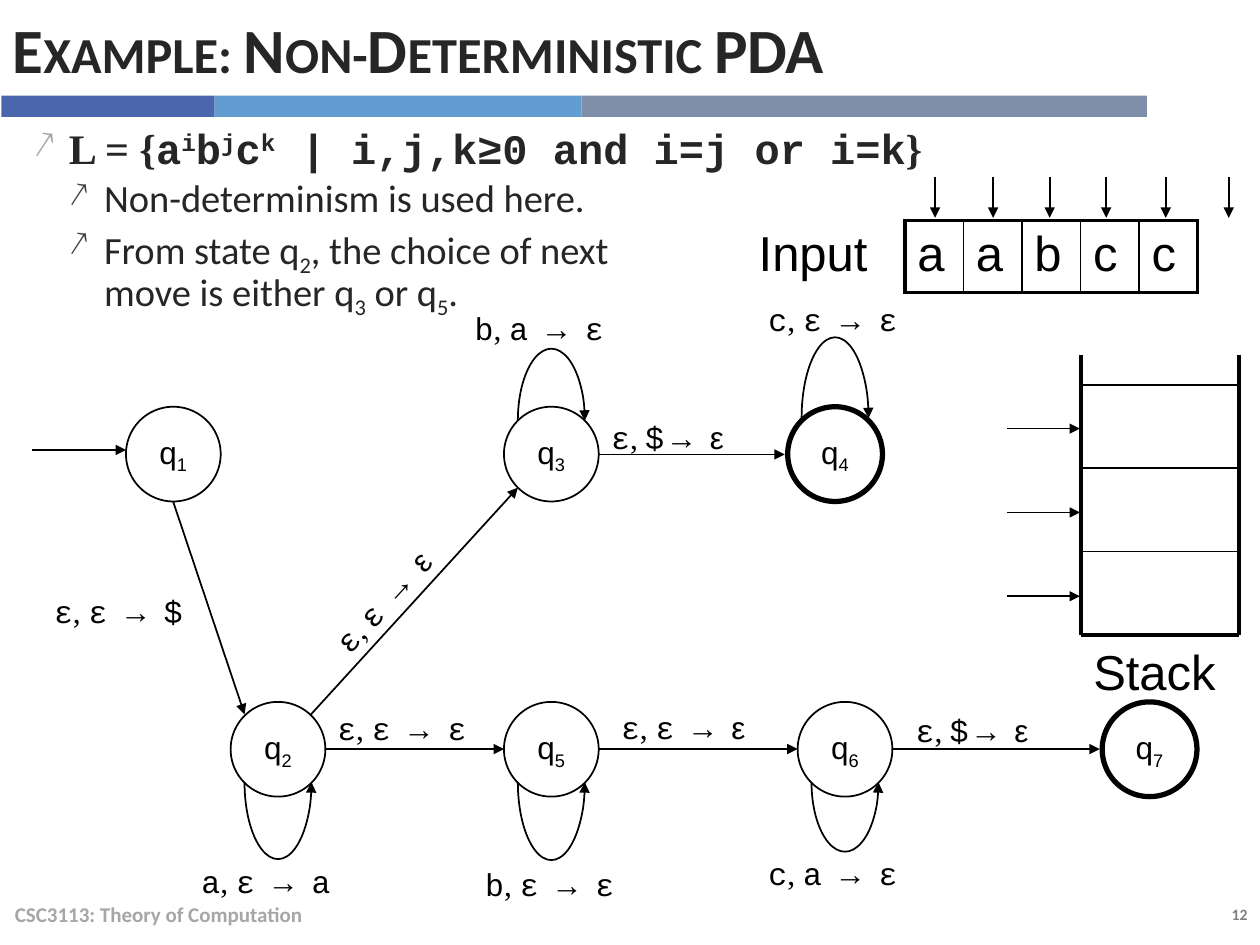
from lxml import etree
from pptx import Presentation
from pptx import util as u
from pptx.dml.color import RGBColor
from pptx.enum import shapes, text
from pptx.oxml import ns

COLORS = {
    "ink": "262626", "black": "000000", "number": "808080", "footer": "A6A6A6",
    "bullet": "A6A6A6", "sub_bullet": "404040",
    "bar_dark": "4A66AC", "bar_light": "629DD1", "bar_grey": "7F8FA9",
}
RGB = {name: RGBColor.from_string(value) for name, value in COLORS.items()}
SANS, MONO, SERIF, BODY = "Arial", "Courier New", "Times New Roman", "Calibri"


def add_runs(paragraph, runs, size, color="black", bold=False):
    for content, font_name, *baseline in runs:
        run = paragraph.add_run()
        run.text = content
        run.font.name = font_name
        run.font.size = u.Pt(size)
        run.font.bold = bold
        run.font.color.rgb = RGB[color]
        if baseline:
            run._r.get_or_add_rPr().set("baseline", str(baseline[0] * 1000))


def add_text(left, top, width, height, runs, size, color="black", bold=False):
    box = slide.shapes.add_textbox(u.Cm(left), u.Cm(top), u.Cm(width), u.Cm(height))
    box.text_frame.word_wrap = True
    add_runs(box.text_frame.paragraphs[0], runs, size, color, bold)
    return box


presentation = Presentation()
presentation.slide_width, presentation.slide_height = u.Cm(25.4), u.Cm(19.05)
slide = presentation.slides.add_slide(presentation.slide_layouts[5])

title = slide.shapes.title
title.left, title.top, title.width, title.height = u.Cm(0), u.Cm(0), u.Cm(23.11), u.Cm(1.93)
title.text_frame.auto_size = text.MSO_AUTO_SIZE.NONE
title.text_frame.vertical_anchor = text.MSO_ANCHOR.MIDDLE
paragraph = title.text_frame.paragraphs[0]
paragraph.alignment = text.PP_ALIGN.LEFT
add_runs(paragraph, [("Example: Non-Deterministic PDA", BODY)], 36, "ink", True)
paragraph.runs[0]._r.get_or_add_rPr().set("cap", "small")

bar_left = 0.03
for color, width in [("bar_dark", 4.3), ("bar_light", 7.39), ("bar_grey", 11.4)]:
    bar = slide.shapes.add_shape(
        shapes.MSO_SHAPE.RECTANGLE, u.Cm(bar_left), u.Cm(1.93), u.Cm(width), u.Cm(0.43))
    bar.shadow.inherit = False
    bar.fill.solid()
    bar.fill.fore_color.rgb = RGB[color]
    bar.line.fill.background()
    bar_left += width

number = add_text(22.17, 18.11, 3.23, 0.64, [("12", BODY)], 9, "number", True)
number.text_frame.paragraphs[0].alignment = text.PP_ALIGN.RIGHT
footer = add_text(0.05, 17.91, 17.02, 1.02,
                  [("CSC3113: Theory of Computation", BODY)], 12, "footer", True)
footer.text_frame.vertical_anchor = text.MSO_ANCHOR.MIDDLE

language = [("L = {", SERIF), ("a", MONO), ("i", MONO, 30), ("b", MONO), ("j", MONO, 30),
            ("c", MONO), ("k", MONO, 30), (" | i,j,k≥0 and i=j or i=k", MONO), ("}", SERIF)]
choice_start = [("From state q", BODY), ("2", BODY, -25), (", the choice of next ", BODY)]
choice_end = [("move is either q", BODY), ("3", BODY, -25), (" or q", BODY),
              ("5", BODY, -25), (".", BODY)]
bullets = [
    (0, 24, "bullet", [language]),
    (1, 22, "sub_bullet", [[("Non-determinism is used here.", BODY)]]),
    (1, 22, "sub_bullet", [choice_start, choice_end]),
]
notes = add_text(0.43, 2.54, 24.56, 4.14, [], 24)
for index, (level, size, bullet_color, rows) in enumerate(bullets):
    frame = notes.text_frame
    paragraph = frame.add_paragraph() if index else frame.paragraphs[0]
    paragraph.level = level
    paragraph.line_spacing = 0.8
    paragraph.space_before = u.Pt(6)
    properties = paragraph._p.get_or_add_pPr()
    properties.set("marL", str(u.Cm(0.71 * (level + 1))))
    properties.set("indent", str(-u.Cm(0.71)))
    bullet_fill = etree.SubElement(properties, ns.qn("a:buClr"))
    etree.SubElement(bullet_fill, ns.qn("a:srgbClr"), val=COLORS[bullet_color])
    etree.SubElement(properties, ns.qn("a:buSzPct"), val="90000")
    etree.SubElement(properties, ns.qn("a:buChar"), char="↗")
    for row_index, runs in enumerate(rows):
        if row_index:
            paragraph.add_line_break()
        add_runs(paragraph, runs, size, "ink", level == 0)

DIAMETER = 1.91
TOP_ROW, BOTTOM_ROW = 8.2, 14.15
states = {
    "1": (2.54, TOP_ROW, 1), "3": (10.16, TOP_ROW, 1), "4": (15.88, TOP_ROW, 3),
    "2": (4.65, BOTTOM_ROW, 1), "5": (10.16, BOTTOM_ROW, 1),
    "6": (16.08, BOTTOM_ROW, 1), "7": (22.22, BOTTOM_ROW, 3),
}
for name, (left, top, line_width) in states.items():
    state = slide.shapes.add_shape(
        shapes.MSO_SHAPE.OVAL, u.Cm(left), u.Cm(top), u.Cm(DIAMETER), u.Cm(DIAMETER))
    state.shadow.inherit = False
    state.fill.background()
    state.line.color.rgb = RGB["black"]
    state.line.width = u.Pt(line_width)
    state.text_frame.word_wrap = False
    state.text_frame.vertical_anchor = text.MSO_ANCHOR.MIDDLE
    paragraph = state.text_frame.paragraphs[0]
    paragraph.alignment = text.PP_ALIGN.CENTER
    add_runs(paragraph, [("q", SANS), (name, SANS, -25)], 18)

loops = [("3", 8.48, 1.45), ("4", 8.43, 1.63),
         ("2", 15.77, 1.55), ("5", 15.77, 1.57), ("6", 15.77, 1.4)]
for name, base, depth in loops:
    left, top, _ = states[name]
    above = top == TOP_ROW
    loop = slide.shapes.add_shape(
        shapes.MSO_SHAPE.ARC, u.Cm(left + 0.28), u.Cm(base - depth), u.Cm(1.35), u.Cm(2 * depth))
    loop.shadow.inherit = False
    loop.fill.background()
    loop.line.color.rgb = RGB["black"]
    loop.line.width = u.Pt(1)
    loop.adjustments[0], loop.adjustments[1] = (108, 0) if above else (0, 108)
    end = "a:tailEnd" if above else "a:headEnd"
    etree.SubElement(loop.line._get_or_add_ln(), ns.qn(end), type="triangle")

STACK_LEFT, STACK_RIGHT, STACK_TOP, STACK_BOTTOM = 21.79, 24.97, 7.16, 12.8
CELL_HEIGHT = 1.68
lines = [
    (0.64, 9.07, 2.54, 9.07, 1, True),
    (3.49, 10.11, 4.93, 14.4, 1, True),
    (6.27, 14.4, 10.44, 9.83, 1, True),
    (12.07, 9.16, 15.82, 9.16, 1, True),
]
lines += [(start, 15.1, end, 15.1, 1, True)
          for start, end in [(6.55, 10.16), (12.07, 16.08), (17.98, 22.17)]]
lines += [(x, 3.56, x, 4.39, 1, True) for x in (18.85, 20.02, 21.16, 22.3, 23.5, 24.77)]
lines += [(x, STACK_TOP, x, STACK_BOTTOM, 2.25, False) for x in (STACK_LEFT, STACK_RIGHT)]
lines.append((STACK_LEFT, STACK_BOTTOM, STACK_RIGHT, STACK_BOTTOM, 2.25, False))
for step in range(3):
    divider = STACK_BOTTOM - (step + 1) * CELL_HEIGHT
    pointer = 8.64 + step * 1.69
    lines.append((STACK_LEFT, divider, STACK_RIGHT, divider, 1, False))
    lines.append((20.3, pointer, 21.77, pointer, 1, True))
for start_x, start_y, end_x, end_y, line_width, has_arrow in lines:
    connector = slide.shapes.add_connector(
        shapes.MSO_CONNECTOR.STRAIGHT,
        u.Cm(start_x), u.Cm(start_y), u.Cm(end_x), u.Cm(end_y))
    connector.line.color.rgb = RGB["black"]
    connector.line.width = u.Pt(line_width)
    if has_arrow:
        etree.SubElement(connector.line._get_or_add_ln(), ns.qn("a:tailEnd"), type="triangle")
    etree.SubElement(connector._element.spPr, ns.qn("a:effectLst"))

push_epsilon = [("ε → ", MONO), ("ε", SANS)]
pop_marker = [("$ ", SANS), ("→ ", MONO), ("ε", SANS)]
labels = [
    (0.84, 11.81, 0, "ε", [("ε → ", MONO), ("$", SANS)]),
    (6.12, 11.4, 312.6, "ε", push_epsilon),
    (6.55, 14.17, 0, "ε", [("ε → ε", MONO)]),
    (12.27, 14.15, 0, "ε", push_epsilon),
    (18.21, 14.2, 0, "ε", pop_marker),
    (12.07, 8.31, 0, "ε", pop_marker),
    (3.81, 17.25, 0, "a", [("ε → a", MONO)]),
    (9.53, 17.32, 0, "b", [("ε → ε", MONO)]),
    (15.24, 17.09, 0, "c", [("a → ε", MONO)]),
    (9.32, 6.1, 0, "b", [("a → ε", MONO)]),
    (15.24, 5.92, 0, "c", [("ε → ε", MONO)]),
]
for left, top, rotation, symbol, action in labels:
    label = add_text(left, top, 3.6, 1.02, [(symbol, MONO), (", ", SERIF), *action], 18)
    label.rotation = rotation
add_text(STACK_LEFT, STACK_BOTTOM, 3.18, 1.68, [("Stack", SANS)], 28)

entries = ["Input", "a", "a", "b", "c", "c"]
table = slide.shapes.add_table(
    1, len(entries), u.Cm(15.04), u.Cm(4.45), u.Cm(9.1), u.Cm(1.45)).table
table.first_row = table.horz_banding = False
last = len(entries) - 1
for index, entry in enumerate(entries):
    table.columns[index].width = u.Cm(1.18 if index else 3.2)
    cell = table.cell(0, index)
    add_runs(cell.text_frame.paragraphs[0], [(entry, SANS)], 28)
    outer = 2.25 if index else 0
    borders = {
        "a:lnL": 0 if index == 0 else 2.25 if index == 1 else 1,
        "a:lnR": 2.25 if index in (0, last) else 1,
        "a:lnT": outer, "a:lnB": outer,
    }
    properties = cell._tc.get_or_add_tcPr()
    for side, line_width in borders.items():
        border = etree.SubElement(properties, ns.qn(side), w=str(u.Pt(line_width)))
        if line_width:
            border_fill = etree.SubElement(border, ns.qn("a:solidFill"))
            etree.SubElement(border_fill, ns.qn("a:srgbClr"), val=COLORS["black"])
        else:
            etree.SubElement(border, ns.qn("a:noFill"))
    cell.fill.background()

presentation.save("out.pptx")
